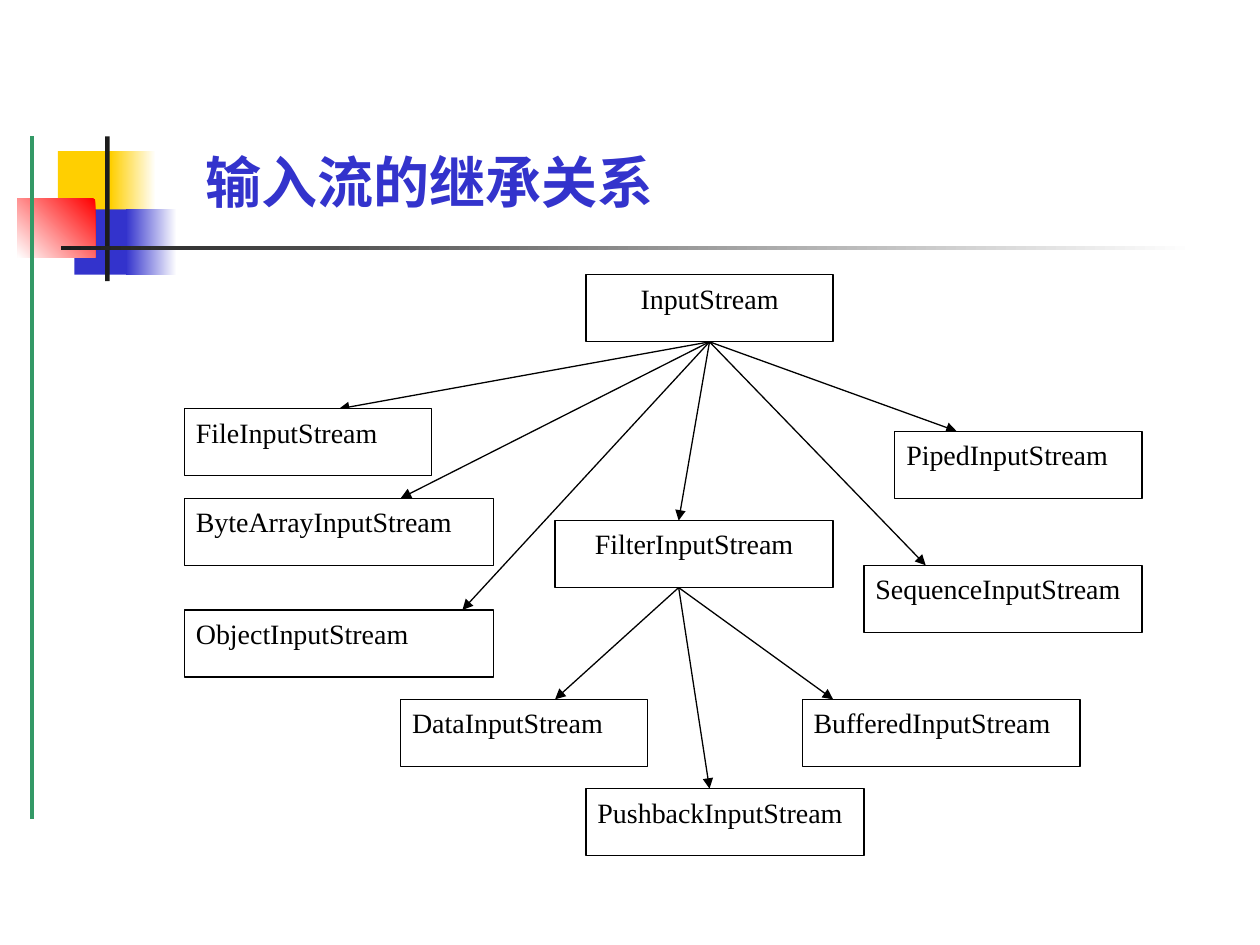
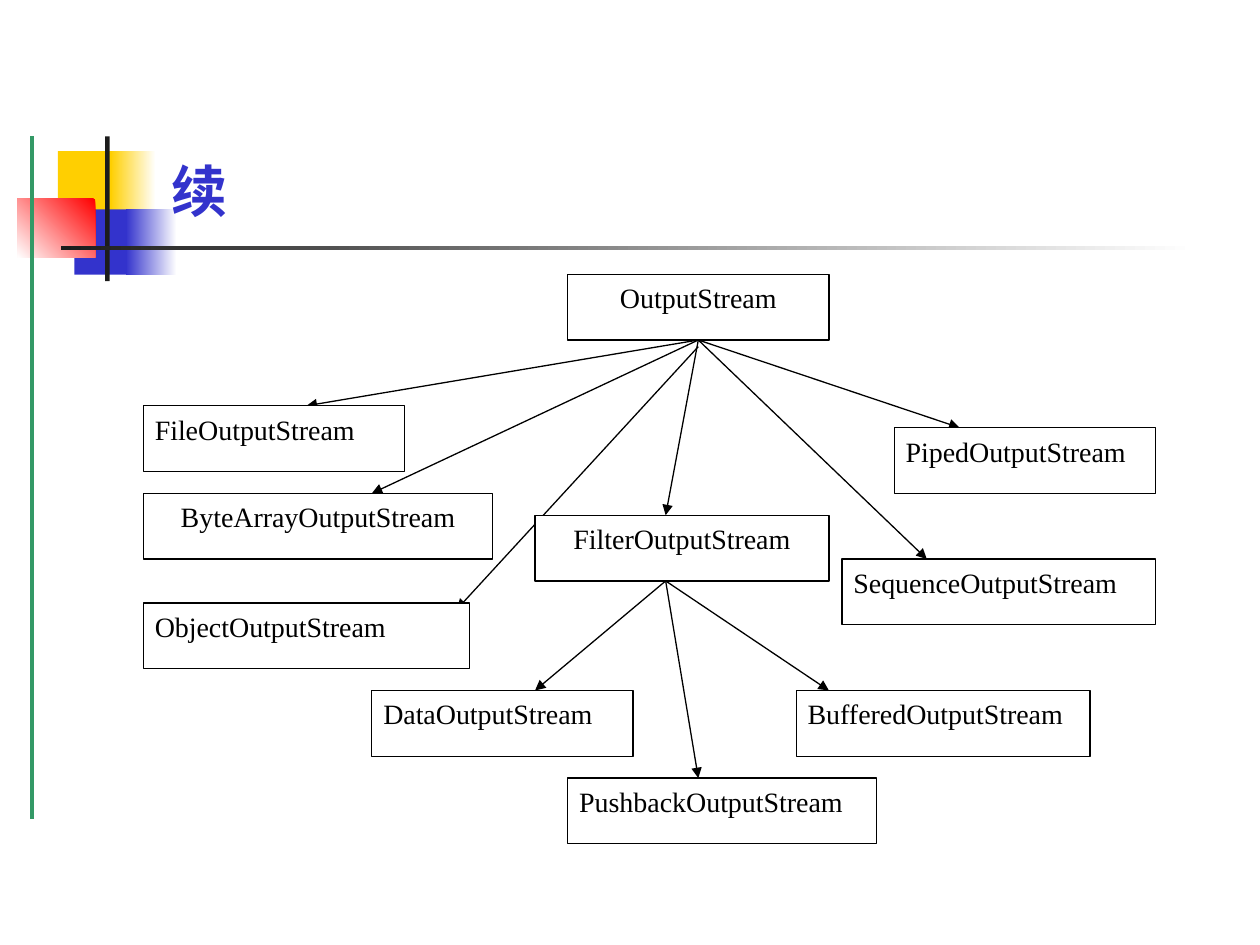
from dataclasses import dataclass, replace

from pptx import Presentation
from pptx.dml.color import RGBColor
from pptx.enum.shapes import MSO_CONNECTOR, MSO_SHAPE
from pptx.enum.text import MSO_ANCHOR, MSO_AUTO_SIZE, PP_ALIGN
from pptx.oxml.ns import qn
from pptx.util import Cm, Pt
from lxml.etree import SubElement


@dataclass(frozen=True)
class Theme:
    white: RGBColor = RGBColor(0xFF, 0xFF, 0xFF)
    black: RGBColor = RGBColor(0, 0, 0)
    ink: RGBColor = RGBColor(0x1C, 0x1C, 0x1C)
    blue: RGBColor = RGBColor(0x33, 0x33, 0xCC)
    yellow: RGBColor = RGBColor(0xFF, 0xCF, 0x01)
    red: RGBColor = RGBColor(0xFF, 0, 0)
    green: RGBColor = RGBColor(0x33, 0x99, 0x66)
    title_font: str = "Lato"
    box_font: str = "Times New Roman"
    title_size: Pt = Pt(32)
    box_size: Pt = Pt(16)
    thin: Pt = Pt(0.75)
    thick: Pt = Pt(2.25)


@dataclass(frozen=True)
class Node:
    col: float
    row: float
    width: float
    tip: float
    parent: str = ""
    align: PP_ALIGN = PP_ALIGN.JUSTIFY
    sag: float = 0


@dataclass(frozen=True)
class Grid:
    left: float
    top: float
    width: float
    height: float
    cols: int = 31
    rows: int = 26

    def x(self, col):
        return self.left + col * self.width / self.cols

    def y(self, row):
        return self.top + row * self.height / self.rows


BOX_ROWS = 3

INPUT_TREE = {
    "": Node(13, 0, 8, 17, align=PP_ALIGN.CENTER),
    "File": Node(0, 6, 8, 5),
    "ByteArray": Node(0, 10, 10, 7),
    "Object": Node(0, 15, 10, 9),
    "Filter": Node(12, 11, 9, 16, align=PP_ALIGN.CENTER),
    "Data": Node(7, 19, 8, 12, "Filter"),
    "Piped": Node(23, 7, 8, 25),
    "Sequence": Node(22, 13, 9, 24),
    "Pushback": Node(13, 23, 9, 17, "Filter"),
    "Buffered": Node(20, 19, 9, 21, "Filter"),
}

OUTPUT_CHANGES = {
    "ByteArray": dict(width=10.7, align=PP_ALIGN.CENTER),
    "Object": dict(tip=9.6, sag=0.3),
    "Sequence": dict(col=21.4, width=9.6),
    "Pushback": dict(width=9.45),
}

OUTPUT_TREE = {
    name: replace(node, **OUTPUT_CHANGES.get(name, {}))
    for name, node in INPUT_TREE.items()
}


class Deck:
    def __init__(self, theme):
        self.theme = theme
        self.prs = Presentation()
        self.prs.slide_width, self.prs.slide_height = Cm(25.4), Cm(19.05)
        self.slide = None

    def add_slide(self):
        self.slide = self.prs.slides.add_slide(self.prs.slide_layouts[5])

    def title(self, text, left, top, width, height, inset=0.25):
        sp = self.slide.shapes.title
        sp.left, sp.top, sp.width, sp.height = map(Cm, (left, top, width, height))
        tf = sp.text_frame
        tf.text = text
        tf.auto_size = MSO_AUTO_SIZE.NONE
        tf.vertical_anchor = MSO_ANCHOR.BOTTOM
        tf.margin_left = Cm(inset)
        p = tf.paragraphs[0]
        p.alignment = PP_ALIGN.LEFT
        self.style(p, self.theme.title_font, self.theme.title_size, self.theme.blue, True)

    def style(self, p, name, size, color, bold=False):
        p.font.name, p.font.size, p.font.bold = name, size, bold
        p.font.color.rgb = color

    def rect(self, left, top, width, height, color, fade_to=None, angle=180):
        sp = self.slide.shapes.add_shape(
            MSO_SHAPE.RECTANGLE, *map(Cm, (left, top, width, height)))
        sp.shadow.inherit = False
        sp.line.fill.background()
        if fade_to is None:
            sp.fill.solid()
            sp.fill.fore_color.rgb = color
        else:
            sp.fill.gradient()
            sp.fill.gradient_angle = angle
            for stop, rgb in zip(sp.fill.gradient_stops, (color, fade_to)):
                stop.color.rgb = rgb
        return sp

    def box(self, text, left, top, width, height, align):
        sp = self.rect(left, top, width, height, self.theme.white)
        sp.line.color.rgb = self.theme.black
        sp.line.width = self.theme.thin
        tf = sp.text_frame
        tf.word_wrap = True
        tf.vertical_anchor = MSO_ANCHOR.TOP
        tf.margin_left = tf.margin_right = Cm(0.23)
        tf.margin_top = tf.margin_bottom = Cm(0.13)
        tf.text = text
        p = tf.paragraphs[0]
        p.alignment = align
        self.style(p, self.theme.box_font, self.theme.box_size, self.theme.black)

    def line(self, x1, y1, x2, y2, color, width, arrow=False):
        c = self.slide.shapes.add_connector(
            MSO_CONNECTOR.STRAIGHT, *map(Cm, (x1, y1, x2, y2)))
        c.line.color.rgb = color
        c.line.width = width
        spPr = c.element.spPr
        if arrow:
            SubElement(spPr.find(qn("a:ln")), qn("a:tailEnd"), type="triangle")
        SubElement(spPr, qn("a:effectLst"))
        return c

    def master_art(self):
        t = self.theme
        art = [
            self.rect(1.17, 3.05, 1.22, 1.32, t.yellow),
            self.rect(2.23, 3.05, 0.91, 1.32, t.white, t.yellow),
            self.rect(1.5, 4.22, 1.17, 1.32, t.blue),
            self.rect(2.54, 4.22, 1.02, 1.32, t.white, t.blue),
            self.rect(0.35, 4.01, 1.57, 1.18, t.red, t.white, 225),
            self.rect(2.12, 2.75, 0.09, 2.92, t.ink),
            self.rect(1.23, 4.95, 22.86, 0.09, t.white, t.ink),
            self.line(0.64, 2.75, 0.64, 16.51, t.green, t.thick),
        ]
        tree = self.prs.slide_master.shapes.element
        for i, sp in enumerate(art):
            sp.element.xpath("./*/p:cNvPr")[0].set("id", str(100 + i))
            tree.insert(2 + i, sp.element)

    def tree(self, nodes, suffix, grid):
        for name, node in nodes.items():
            if name:
                parent = nodes[node.parent]
                self.line(grid.x(parent.tip), grid.y(parent.row + BOX_ROWS + node.sag),
                          grid.x(node.tip), grid.y(node.row + node.sag),
                          self.theme.black, self.theme.thin, arrow=True)
            left, top = grid.x(node.col), grid.y(node.row)
            self.box(name + suffix, left, top, grid.x(node.col + node.width) - left,
                     grid.y(node.row + BOX_ROWS) - top, node.align)


def main():
    deck = Deck(Theme())
    deck.add_slide()
    deck.master_art()
    deck.title("输入流的继承关系", 3.4, 0.79, 21.26, 3.66, inset=0.74)
    deck.tree(INPUT_TREE, "InputStream", Grid(3.72, 5.54, 19.3, 11.71))

    deck.add_slide()
    deck.title("续", 3.2, 0.58, 21.64, 4.06)
    deck.tree(OUTPUT_TREE, "OutputStream", Grid(2.89, 5.53, 20.4, 11.48))

    deck.prs.save("out.pptx")


if __name__ == "__main__":
    main()
